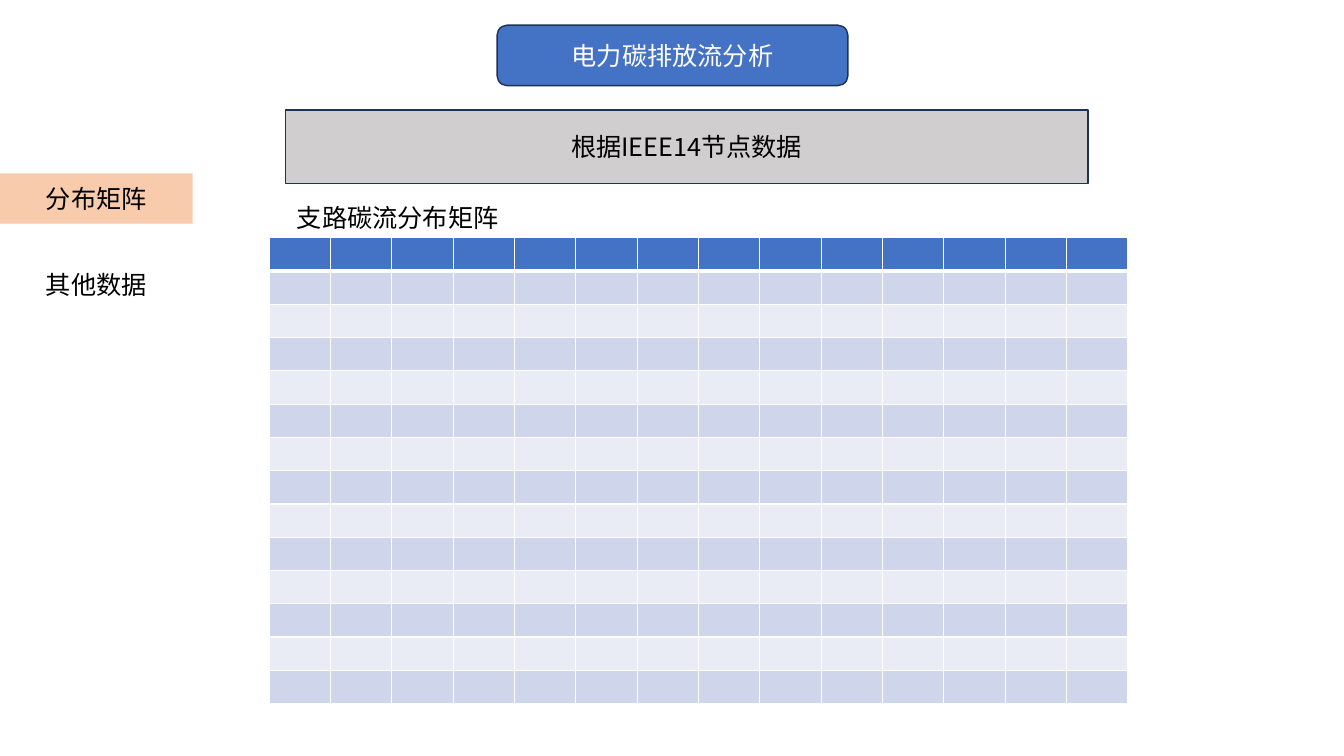
from lxml.etree import SubElement
from pptx import Presentation
from pptx.dml.color import RGBColor
from pptx.enum.shapes import MSO_SHAPE
from pptx.enum.text import MSO_ANCHOR, PP_ALIGN
from pptx.oxml.ns import qn
from pptx.util import Inches, Pt

FONT = "Noto Sans CJK SC"
WHITE = RGBColor(0xFF, 0xFF, 0xFF)
BLACK = RGBColor(0x00, 0x00, 0x00)
BLUE = RGBColor(0x44, 0x72, 0xC4)
NAVY = RGBColor(0x1E, 0x32, 0x56)
GREY = RGBColor(0xD0, 0xCE, 0xCE)
PEACH = RGBColor(0xF8, 0xCB, 0xAD)
BAND_DARK = RGBColor(0xCF, 0xD5, 0xEA)
BAND_LIGHT = RGBColor(0xE9, 0xEB, 0xF5)


def add_label(sp, text, color):
    """Write one centred line of text into a shape or text box."""
    tf = sp.text_frame
    frame_format = {"word_wrap": True, "vertical_anchor": MSO_ANCHOR.MIDDLE,
                    "margin_left": 0, "margin_right": 0,
                    "margin_top": 0, "margin_bottom": 0}
    for name, value in frame_format.items():
        setattr(tf, name, value)
    p = tf.paragraphs[0]
    p.alignment = PP_ALIGN.CENTER
    r = p.add_run()
    r.text = text
    for name, value in {"size": Pt(18), "name": FONT}.items():
        setattr(r.font, name, value)
    r.font.color.rgb = color
    SubElement(r.font._element, qn("a:ea"), typeface=FONT)


def add_border(cell, side, width):
    """Draw a solid white border on one side of a table cell."""
    ln = SubElement(cell._tc.get_or_add_tcPr(), qn(f"a:ln{side}"), w=str(Pt(width)))
    fill = SubElement(ln, qn("a:solidFill"))
    SubElement(fill, qn("a:srgbClr"), val=str(WHITE))


prs = Presentation()
prs.slide_width = Inches(13.33)
prs.slide_height = Inches(7.5)
s = prs.slides.add_slide(prs.slide_layouts[6])

# Heading, data source bar and selected menu item
boxes = [
    (MSO_SHAPE.ROUNDED_RECTANGLE, 4.93, 0.25, 3.48, 0.6, BLUE, NAVY, "电力碳排放流分析", WHITE),
    (MSO_SHAPE.RECTANGLE, 2.83, 1.09, 7.96, 0.73, GREY, NAVY, "根据IEEE14节点数据", BLACK),
    (MSO_SHAPE.RECTANGLE, 0, 1.72, 1.91, 0.5, PEACH, None, "分布矩阵", BLACK),
]
for kind, x, y, w, h, fill, line, text, color in boxes:
    sp = s.shapes.add_shape(kind, Inches(x), Inches(y), Inches(w), Inches(h))
    sp.shadow.inherit = False
    sp.fill.solid()
    sp.fill.fore_color.rgb = fill
    if line is None:
        sp.line.fill.background()
    else:
        sp.line.color.rgb = line
        sp.line.width = Pt(1)
    add_label(sp, text, color)

# Table caption and second menu item
captions = [
    (2.83, 1.98, 2.23, 0.36, "支路碳流分布矩阵"),
    (0, 2.57, 1.91, 0.5, "其他数据"),
]
for x, y, w, h, text in captions:
    sp = s.shapes.add_textbox(Inches(x), Inches(y), Inches(w), Inches(h))
    add_label(sp, text, BLACK)

# Empty 14 x 14 branch matrix with a header row and banded rows
NODES = 14
ROW_HEIGHT = 0.33
table = s.shapes.add_table(NODES, NODES, Inches(2.67), Inches(2.36),
                           Inches(8.52), Inches(ROW_HEIGHT * NODES)).table
for i, row in enumerate(table.rows):
    row.height = Inches(ROW_HEIGHT)
    band = BLUE if i == 0 else BAND_DARK if i % 2 else BAND_LIGHT
    borders = {"L": 1, "R": 1, "T": 3 if i == 1 else 1, "B": 3 if i == 0 else 1}
    for cell in row.cells:
        for side, width in borders.items():
            add_border(cell, side, width)
        cell.fill.solid()
        cell.fill.fore_color.rgb = band
        # Small type keeps the empty rows at their set height
        p = cell.text_frame.paragraphs[0]
        SubElement(p._p, qn("a:endParaRPr"), sz="800")

prs.save("out.pptx")
